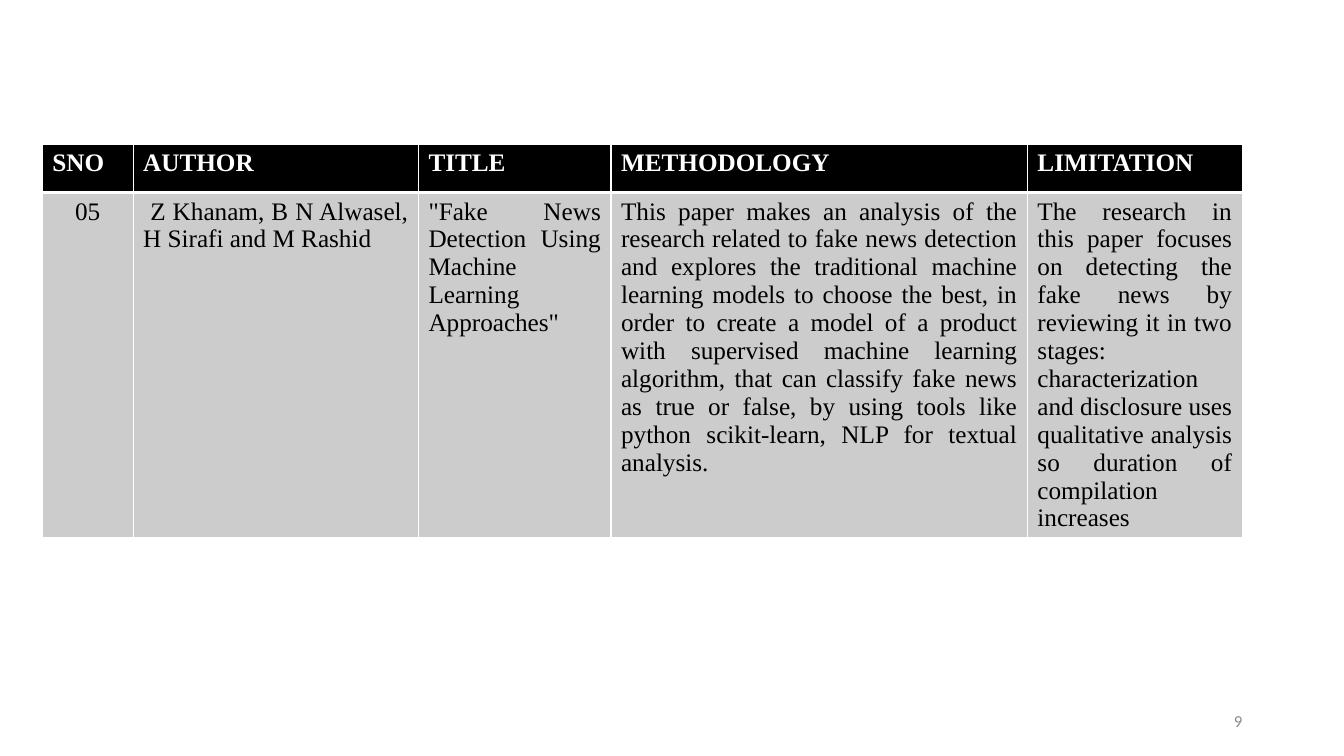
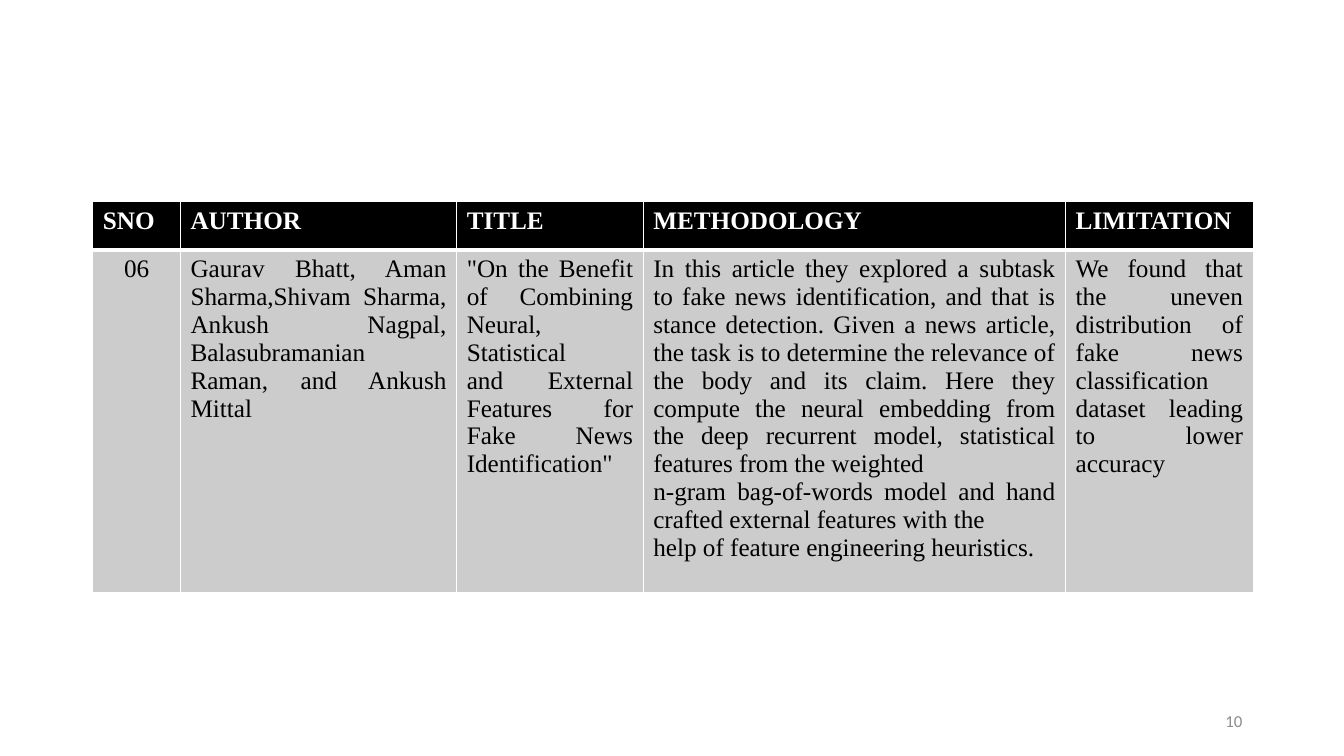
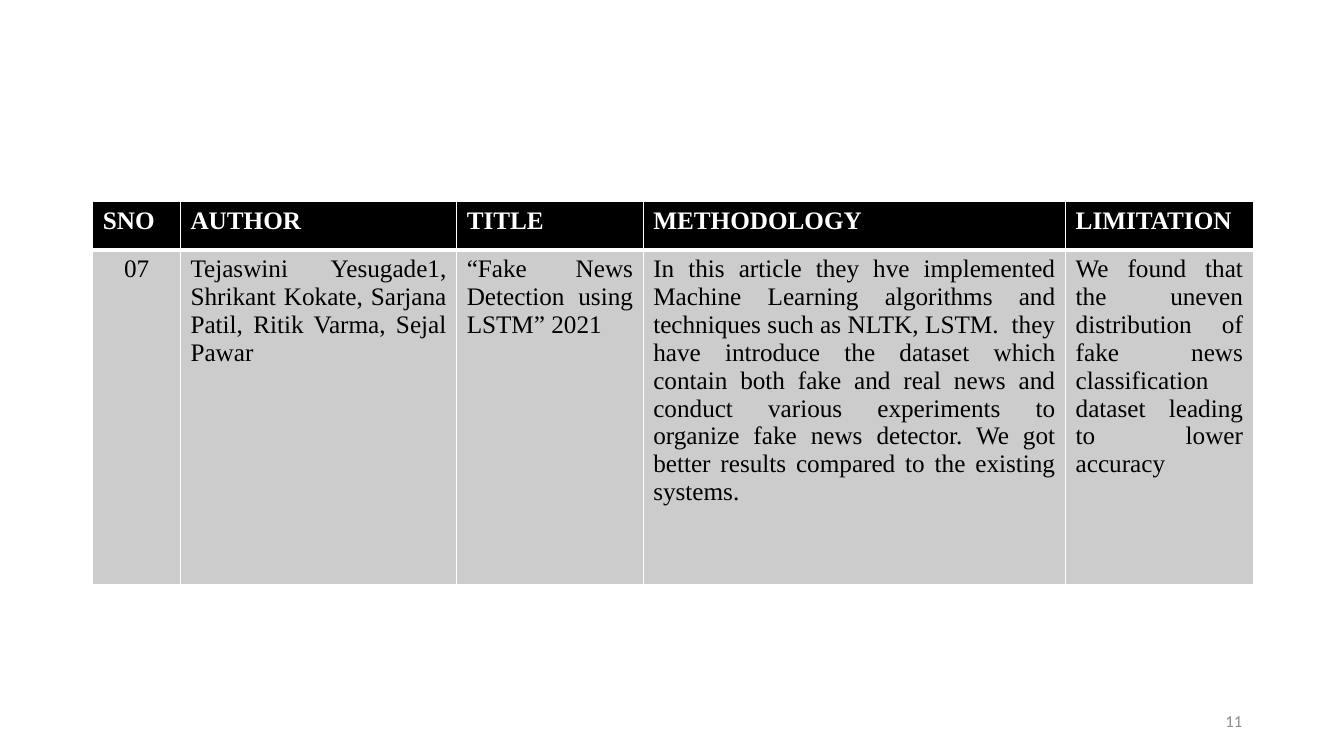
from dataclasses import dataclass

from lxml.etree import SubElement
from pptx import Presentation
from pptx.dml.color import RGBColor
from pptx.enum.text import MSO_ANCHOR, PP_ALIGN
from pptx.oxml.ns import qn
from pptx.util import Inches, Pt


@dataclass(frozen=True)
class Theme:
    white: str = "FFFFFF"
    black: str = "000000"
    body_fill: str = "CCCCCC"
    number_color: str = "8C8C8C"
    table_font: str = "Times New Roman"
    number_font: str = "Calibri"
    table_size: int = 18
    number_size: int = 12
    thin_line: int = 1
    thick_line: int = 3


THEME = Theme()
HEADINGS = ("SNO", "AUTHOR", "TITLE", "METHODOLOGY", "LIMITATION")
ROW_HEIGHTS = (0.48, 3.32)
NUMBER_BOX = (9.42, 6.95, 3, 0.4)
FIRST_NUMBER = 9

WIDE_LAYOUT = ((0.42, 1.43), (0.9, 2.83, 1.91, 4.13, 2.13))
INSET_LAYOUT = ((0.92, 2), (0.87, 2.74, 1.85, 4.19, 1.86))

UNEVEN_DATASET = (
    "We found that the uneven distribution of fake news classification "
    "dataset leading to lower accuracy "
)

REVIEWS = (
    (WIDE_LAYOUT, (
        "05",
        " Z Khanam, B N Alwasel, H Sirafi and M Rashid",
        '"Fake News Detection Using Machine Learning\nApproaches"',
        "This paper makes an analysis of the research related to fake news "
        "detection and explores the traditional machine learning models to "
        "choose the best, in order to create a model of a product with "
        "supervised machine learning algorithm, that can classify fake news "
        "as true or false, by using tools like python scikit-learn, NLP for "
        "textual analysis.",
        "The research in this paper focuses on detecting the fake news by "
        "reviewing it in two stages: characterization and disclosure uses "
        "qualitative analysis so duration of compilation increases",
    )),
    (INSET_LAYOUT, (
        "06",
        "Gaurav Bhatt, Aman Sharma,Shivam Sharma, Ankush Nagpal, "
        "Balasubramanian Raman, and Ankush Mittal",
        '"On the Benefit of Combining Neural, Statistical\n'
        'and External Features for Fake News Identification"',
        "In this article they explored a subtask to fake news identification, "
        "and that is stance detection. Given a news article, the task is to "
        "determine the relevance of the body and its claim. Here they compute "
        "the neural embedding from the deep recurrent model, statistical "
        "features from the weighted\n"
        "n-gram bag-of-words model and hand crafted external features with the\n"
        "help of feature engineering heuristics.",
        UNEVEN_DATASET,
    )),
    (INSET_LAYOUT, (
        "07",
        "Tejaswini Yesugade1, Shrikant Kokate, Sarjana Patil, Ritik Varma, "
        "Sejal Pawar",
        "“Fake News Detection using LSTM” 2021",
        "In this article they hve implemented Machine Learning algorithms and "
        "techniques such as NLTK, LSTM.  they have introduce the dataset which "
        "contain both fake and real news and conduct various experiments to "
        "organize fake news detector. We got better results compared to the "
        "existing systems.",
        UNEVEN_DATASET,
    )),
)


def write_text(frame, text, *, font, size, color, bold=False,
               align=PP_ALIGN.JUSTIFY):
    frame.word_wrap = True
    for index, line in enumerate(text.split("\n")):
        para = frame.add_paragraph() if index else frame.paragraphs[0]
        para.alignment = align
        span = para.add_run()
        span.text = line
        span.font.name = font
        span.font.size = Pt(size)
        span.font.bold = bold
        span.font.color.rgb = RGBColor.from_string(color)


def set_borders(cell, **widths):
    properties = cell._tc.get_or_add_tcPr()
    for side in ("L", "R", "T", "B"):
        width = widths.get(side, THEME.thin_line)
        line = SubElement(properties, qn(f"a:ln{side}"), w=str(Pt(width)))
        fill = SubElement(line, qn("a:solidFill"))
        SubElement(fill, qn("a:srgbClr"), val=THEME.white)


def fill_cell(cell, text, fill, thick_side, **text_format):
    set_borders(cell, **{thick_side: THEME.thick_line})
    cell.fill.solid()
    cell.fill.fore_color.rgb = RGBColor.from_string(fill)
    write_text(cell.text_frame, text, font=THEME.table_font,
               size=THEME.table_size, **text_format)


def add_review_table(page, corner, widths, entries):
    box = (*corner, sum(widths), sum(ROW_HEIGHTS))
    table = page.shapes.add_table(
        len(ROW_HEIGHTS), len(widths), *map(Inches, box)).table
    for row, height in zip(table.rows, ROW_HEIGHTS):
        row.height = Inches(height)
    for index, (width, heading, entry) in enumerate(
            zip(widths, HEADINGS, entries)):
        table.columns[index].width = Inches(width)
        fill_cell(table.cell(0, index), heading, THEME.black, "B",
                  color=THEME.white, bold=True)
        fill_cell(table.cell(1, index), entry, THEME.body_fill, "T",
                  color=THEME.black,
                  align=PP_ALIGN.JUSTIFY if index else PP_ALIGN.CENTER)


def add_page_number(page, box, number):
    frame = page.shapes.add_textbox(*map(Inches, box)).text_frame
    frame.vertical_anchor = MSO_ANCHOR.MIDDLE
    write_text(frame, str(number), font=THEME.number_font,
               size=THEME.number_size, color=THEME.number_color,
               align=PP_ALIGN.RIGHT)


def main():
    deck = Presentation()
    deck.slide_width, deck.slide_height = Inches(13.33), Inches(7.5)
    blank = deck.slide_layouts[6]
    for number, ((corner, widths), entries) in enumerate(REVIEWS, FIRST_NUMBER):
        page = deck.slides.add_slide(blank)
        add_review_table(page, corner, widths, entries)
        add_page_number(page, NUMBER_BOX, number)
    deck.save("out.pptx")


if __name__ == "__main__":
    main()
